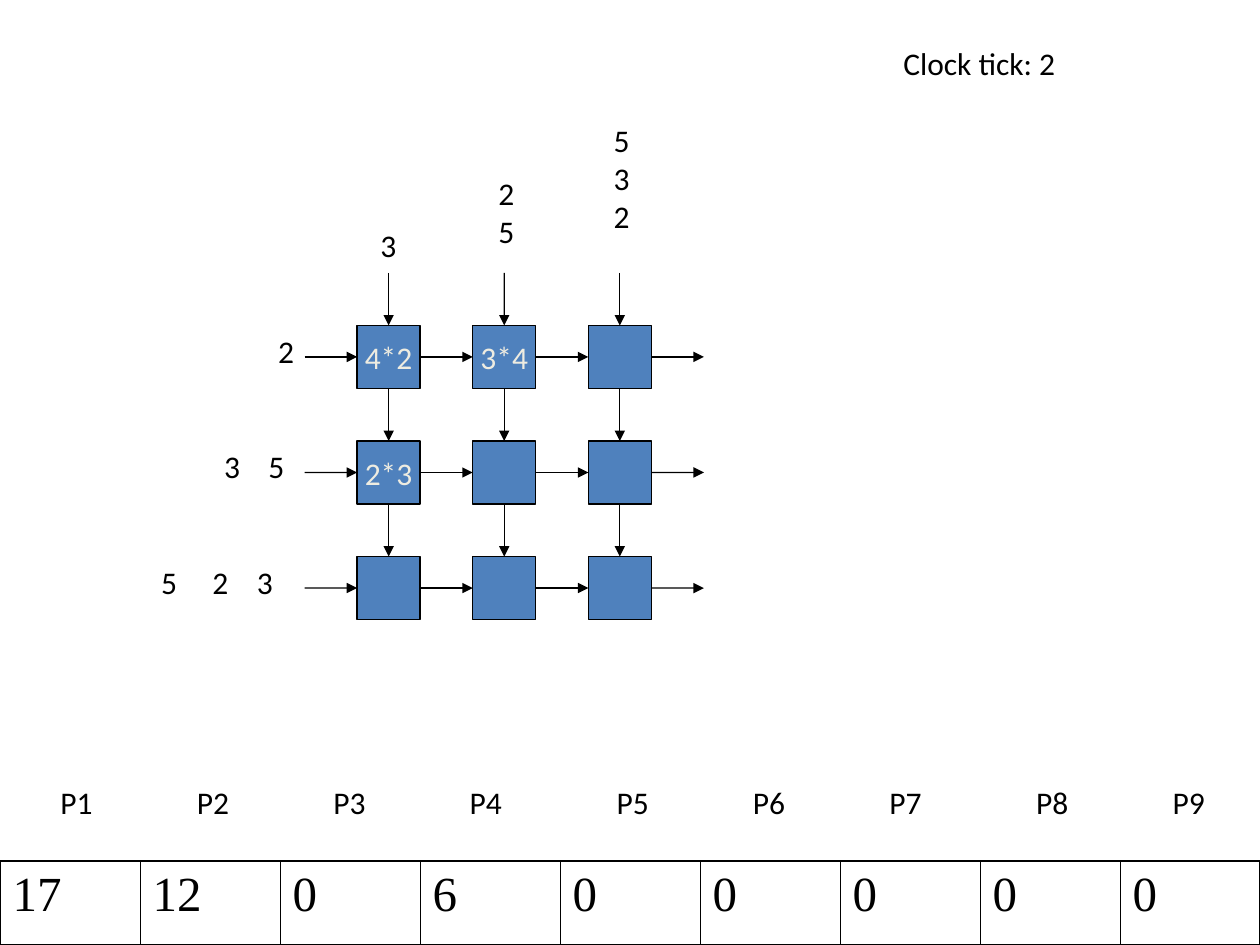
from typing import NamedTuple

from lxml.etree import SubElement
from pptx import Presentation
from pptx.dml.color import RGBColor
from pptx.enum.shapes import MSO_CONNECTOR, MSO_SHAPE
from pptx.enum.text import MSO_ANCHOR, PP_ALIGN
from pptx.oxml.ns import qn
from pptx.util import Cm, Pt

BLACK = RGBColor(0, 0, 0)
BLUE = RGBColor(0x4F, 0x81, 0xBD)
CREAM = RGBColor(0xEE, 0xEC, 0xE1)

# Lengths in centimetres
PAGE_WIDTH, PAGE_HEIGHT = 25.4, 19.05
GRID_LEFT, GRID_TOP = 7.2, 6.56
CELL, ARROW = 1.27, 1.06
PITCH = CELL + ARROW
TOP, LEFT, BOTTOM, RIGHT = range(4)

PRODUCTS = [["4*2", "3*4", ""], ["2*3", "", ""], ["", "", ""]]
TOTALS = ["17", "12", "0", "6", "0", "0", "0", "0", "0"]


class Label(NamedTuple):
    text: str
    left: float
    top: float
    width: float
    height: float = 1.02
    tabs: tuple = ()


INPUTS = [
    Label("3", 7.42, GRID_TOP - 2 * ARROW, 0.94),
    Label("2\n5", 9.8, GRID_TOP - 3 * ARROW, 0.82, 2.54),
    Label("5\n3\n2", 12.12, GRID_TOP - 4 * ARROW, 0.82, 2.54),
    Label("2", 5.36, GRID_TOP, 0.82),
    Label("3\t5", 4.27, GRID_TOP + PITCH, 1.73, tabs=(0.89,)),
    Label("5\t2\t3", 3.0, GRID_TOP + 2 * PITCH, 2.77, tabs=(1.03, 1.93)),
]


def write_text(frame, text: str, *, size: float = 18, font: str = "Calibri",
               color: RGBColor = BLACK, align=PP_ALIGN.LEFT,
               space_before: float = 0, tabs: tuple = ()) -> None:
    for index, line in enumerate(text.split("\n")):
        para = frame.add_paragraph() if index else frame.paragraphs[0]
        para.alignment = align
        para.space_before = Pt(space_before)
        span = para.add_run()
        span.text = line
        span.font.size = Pt(size)
        span.font.name = font
        span.font.color.rgb = color
        if tabs:
            stops = SubElement(para._p.get_or_add_pPr(), qn("a:tabLst"))
            for tab in tabs:
                SubElement(stops, qn("a:tab"), pos=str(int(Cm(tab))), algn="l")


def add_label(page, label: Label) -> None:
    box = page.shapes.add_textbox(Cm(label.left), Cm(label.top),
                                  Cm(label.width), Cm(label.height))
    box.text_frame.word_wrap = True
    box.text_frame.margin_right = 0
    write_text(box.text_frame, label.text, tabs=label.tabs)


def add_processor(page, row: int, column: int):
    box = page.shapes.add_shape(
        MSO_SHAPE.RECTANGLE, Cm(GRID_LEFT + column * PITCH),
        Cm(GRID_TOP + row * PITCH), Cm(CELL), Cm(CELL))
    box.shadow.inherit = False
    box.fill.solid()
    box.fill.fore_color.rgb = BLUE
    box.line.color.rgb = BLACK
    box.line.width = Pt(0.75)
    if PRODUCTS[row][column]:
        frame = box.text_frame
        frame.word_wrap = False
        frame.vertical_anchor = MSO_ANCHOR.MIDDLE
        write_text(frame, PRODUCTS[row][column], color=CREAM,
                   align=PP_ALIGN.CENTER)
    return box


def add_arrow(page, start: tuple, end: tuple, source=None, target=None) -> None:
    """Draw an arrow; source and target are (box, side) pairs to join."""
    arrow = page.shapes.add_connector(
        MSO_CONNECTOR.STRAIGHT, *(Cm(value) for value in start + end))
    arrow.line.color.rgb = BLACK
    arrow.line.width = Pt(0.75)
    SubElement(arrow.line._get_or_add_ln(), qn("a:tailEnd"), type="triangle")
    SubElement(arrow._element.spPr, qn("a:effectLst"))
    if source:
        arrow.begin_connect(*source)
    if target:
        arrow.end_connect(*target)


def add_array(page) -> None:
    """Draw the processors with the arrows between and around them."""
    size = len(PRODUCTS)
    grid = [[add_processor(page, row, column) for column in range(size)]
            for row in range(size)]
    for lane in range(size):
        x = GRID_LEFT + CELL / 2 + lane * PITCH
        y = GRID_TOP + CELL / 2 + lane * PITCH
        for step in range(size + 1):
            left = GRID_LEFT - ARROW + step * PITCH
            add_arrow(page, (left, y), (left + ARROW, y),
                      (grid[lane][step - 1], RIGHT) if step else None,
                      (grid[lane][step], LEFT) if step < size else None)
        for step in range(size):
            top = GRID_TOP - ARROW + step * PITCH
            add_arrow(page, (x, top), (x, top + ARROW),
                      (grid[step - 1][lane], BOTTOM) if step else None,
                      (grid[step][lane], TOP))


def set_border(cell, side: str, width: float) -> None:
    line = SubElement(cell._tc.get_or_add_tcPr(), qn(f"a:ln{side}"),
                      w=str(int(Pt(width))))
    fill = SubElement(line, qn("a:solidFill"))
    SubElement(fill, qn("a:srgbClr"), val=str(BLACK))


def add_totals(page) -> None:
    count = len(TOTALS)
    height = 1.69
    table = page.shapes.add_table(1, count, 0, Cm(PAGE_HEIGHT - height),
                                  Cm(PAGE_WIDTH), Cm(height)).table
    table.first_row = table.horz_banding = False
    for index, total in enumerate(TOTALS):
        table.columns[index].width = Cm(PAGE_WIDTH / count)
        cell = table.cell(0, index)
        write_text(cell.text_frame, total, size=28, font="Times New Roman",
                   space_before=7)
        set_border(cell, "L", 0.45 if index else 1.08)
        set_border(cell, "R", 0.45 if index < count - 1 else 1.08)
        set_border(cell, "T", 1.08)
        set_border(cell, "B", 1.08)
        cell.fill.background()
        # Each group of processors starts a little further right
        shift = 0.21 * ((index >= 4) + (index >= 7))
        add_label(page, Label(f"P{index + 1}", 0.97 + 2.75 * index + shift,
                              15.66, 1.14))


def main() -> None:
    deck = Presentation()
    deck.slide_width, deck.slide_height = Cm(PAGE_WIDTH), Cm(PAGE_HEIGHT)
    page = deck.slides.add_slide(deck.slide_layouts[6])
    add_array(page)
    for label in INPUTS:
        add_label(page, label)
    add_label(page, Label("Clock tick: 2", 17.96, 0.76, 3.56))
    add_totals(page)
    deck.save("out.pptx")


if __name__ == "__main__":
    main()
